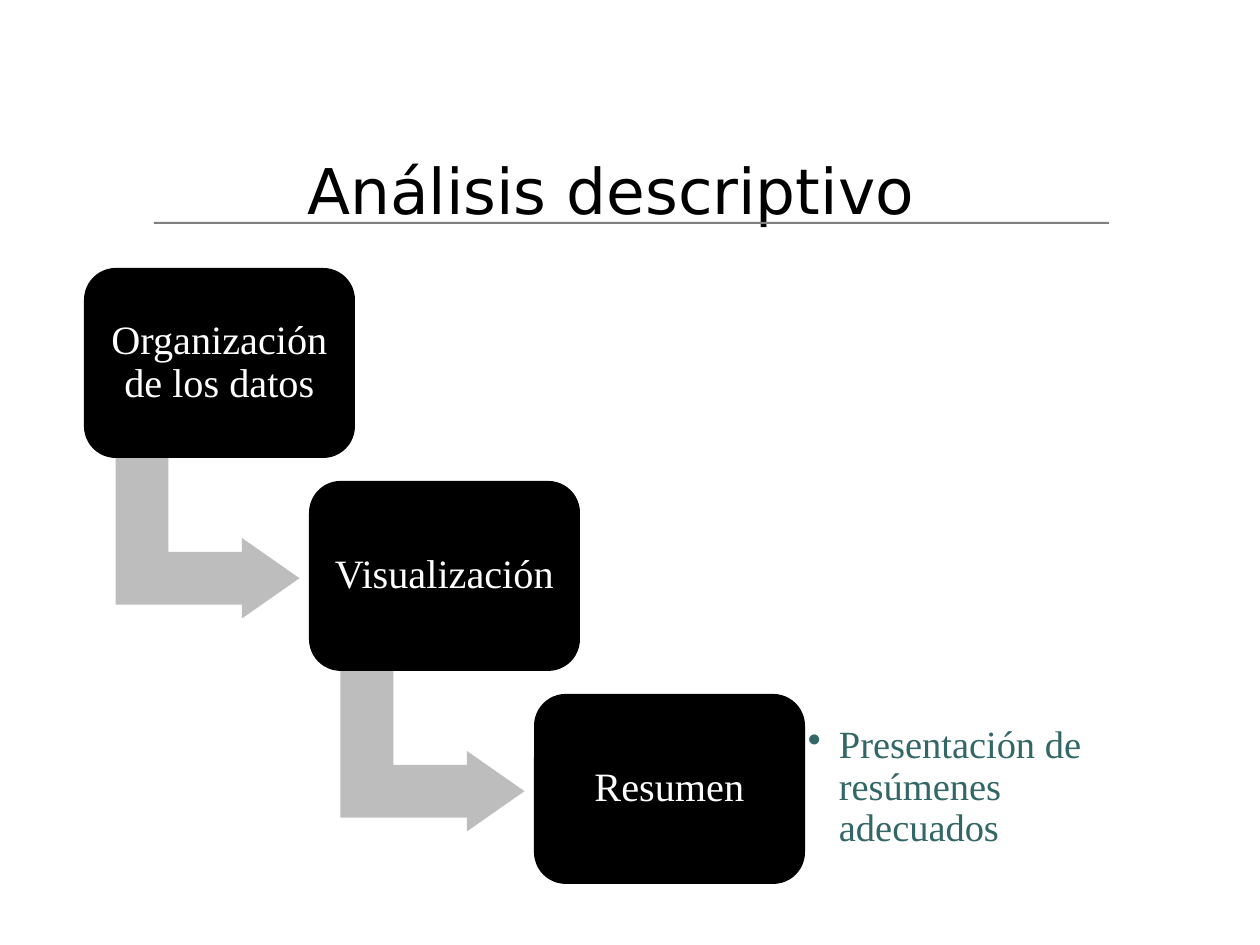
from dataclasses import dataclass

from lxml import etree
from pptx import Presentation
from pptx.dml.color import RGBColor
from pptx.enum.shapes import MSO_SHAPE
from pptx.enum.text import MSO_ANCHOR, PP_ALIGN
from pptx.oxml.ns import qn
from pptx.util import Emu, Pt

RECT = MSO_SHAPE.RECTANGLE
ROUNDED = MSO_SHAPE.ROUNDED_RECTANGLE
BENT_ARROW = MSO_SHAPE.BENT_UP_ARROW
MIDDLE = MSO_ANCHOR.MIDDLE
CENTER, LEFT = PP_ALIGN.CENTER, PP_ALIGN.LEFT

PX_PER_INCH = 126
SANS, SERIF = "DejaVu Sans", "Times New Roman"
BLACK, WHITE, TEAL = "000000", "FFFFFF", "336666"
RULE_GRAY, ARROW_GRAY = "808080", "BDBDBD"

STEP_X, STEP_Y = 225, 213
ARROW_DX, ARROW_DY = 43, 178
ARROW_ADJUSTMENTS = (0.328, 0.25, 0.358)


@dataclass
class Box:
    x: int
    y: int
    w: int
    h: int

    def emu(self) -> list[Emu]:
        return [px(v) for v in (self.x, self.y, self.w, self.h)]


@dataclass
class TextStyle:
    font: str
    size: int
    color: str
    align: PP_ALIGN = CENTER
    inset: int = 13
    line_spacing: float = 0.9


FIRST_STEP = Box(84, 268, 271, 190)
STEPS = ["Organización de los datos", "Visualización", "Resumen"]
TITLE_STYLE = TextStyle(SANS, 36, BLACK, line_spacing=1.0)
STEP_STYLE = TextStyle(SERIF, 23, WHITE)
DETAIL_STYLE = TextStyle(SERIF, 22, TEAL, LEFT, 15)


def px(value: int) -> Emu:
    return Emu(round(value * 914400 / PX_PER_INCH))


def rgb(color: str) -> RGBColor:
    return RGBColor.from_string(color)


def add_filled(slide, kind, box: Box, color: str):
    s = slide.shapes.add_shape(kind, *box.emu())
    s.shadow.inherit = False
    s.fill.solid()
    s.fill.fore_color.rgb = rgb(color)
    s.line.fill.background()
    return s


def write(s, text: str, style: TextStyle):
    """Set one styled paragraph, centred vertically, and return it."""
    tf = s.text_frame
    tf.text = text
    tf.word_wrap = True
    tf.vertical_anchor = MIDDLE
    tf.margin_left = tf.margin_right = px(style.inset)
    tf.margin_top = tf.margin_bottom = px(style.inset)
    p = tf.paragraphs[0]
    p.alignment = style.align
    p.line_spacing = style.line_spacing
    font = p.runs[0].font
    font.name, font.size = style.font, Pt(style.size)
    font.color.rgb = rgb(style.color)
    return p


def add_bullet(p, indent: int) -> None:
    pPr = p._p.get_or_add_pPr()
    pPr.set("marL", str(px(indent)))
    pPr.set("indent", str(-px(indent)))
    etree.SubElement(pPr, qn("a:buChar")).set("char", "•")


def add_title(slide, text: str) -> None:
    title = slide.shapes.title
    title.left, title.top, title.width, title.height = Box(44, 110, 1134, 158).emu()
    write(title, text, TITLE_STYLE)


def add_arrow(slide, step: Box) -> None:
    """Draw the arrow that leads from a step down to the next one."""
    box = Box(step.x + ARROW_DX, step.y + ARROW_DY, 161, 184)
    arrow = add_filled(slide, BENT_ARROW, box, ARROW_GRAY)
    arrow.rotation = 90
    for i, value in enumerate(ARROW_ADJUSTMENTS):
        arrow.adjustments[i] = value


def add_step(slide, box: Box, text: str) -> None:
    s = add_filled(slide, ROUNDED, box, BLACK)
    s.adjustments[0] = 0.167
    write(s, text, STEP_STYLE)


def main() -> None:
    prs = Presentation()
    prs.slide_width, prs.slide_height = px(1260), px(945)
    slide = prs.slides.add_slide(prs.slide_layouts[5])

    add_filled(slide, RECT, Box(154, 222, 955, 2), RULE_GRAY)
    add_title(slide, "Análisis descriptivo")

    for i, text in enumerate(STEPS):
        box = Box(FIRST_STEP.x + i * STEP_X, FIRST_STEP.y + i * STEP_Y,
                  FIRST_STEP.w, FIRST_STEP.h)
        if i < len(STEPS) - 1:
            add_arrow(slide, box)
        add_step(slide, box, text)

    detail = slide.shapes.add_textbox(*Box(793, 711, 341, 154).emu())
    p = write(detail, "Presentación de resúmenes adecuados", DETAIL_STYLE)
    add_bullet(p, 31)

    prs.save("out.pptx")


if __name__ == "__main__":
    main()
